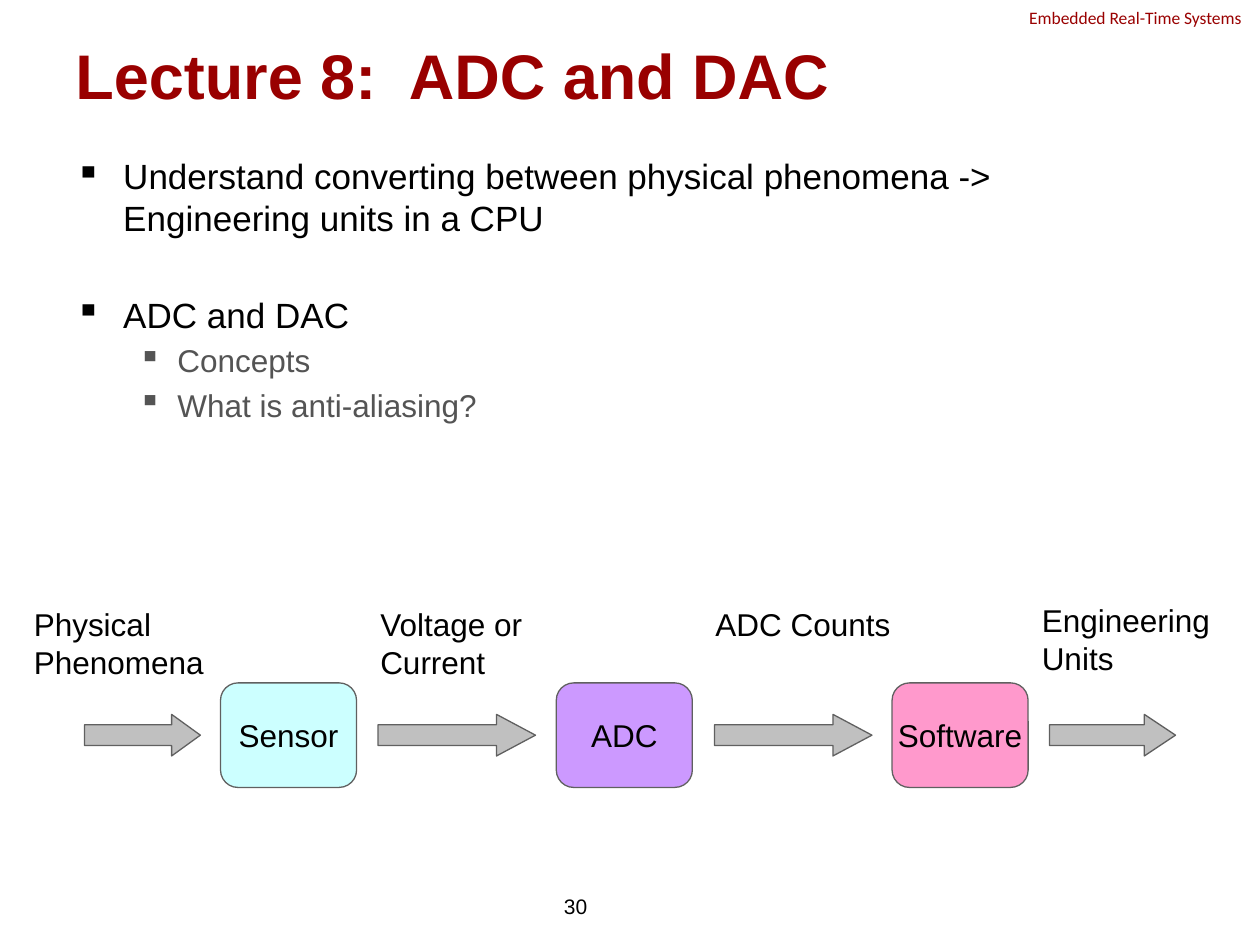
import pptx
import pptx.util
import pptx.dml.color
import pptx.enum.shapes
import pptx.enum.text
import pptx.oxml.ns
from lxml import etree

Inches, Pt = pptx.util.Inches, pptx.util.Pt
SHAPE = pptx.enum.shapes.MSO_SHAPE
ALIGN = pptx.enum.text.PP_ALIGN
ANCHOR = pptx.enum.text.MSO_ANCHOR

DARK_RED, BLACK, GREY, OUTLINE, ARROW_GREY = "990000", "000000", "545454", "606060", "C0C0C0"

# text, level, space before in points
BULLETS = [
    ("Understand converting between physical phenomena -> Engineering units in a CPU", 0, 4),
    ("ADC and DAC", 0, 31),
    ("Concepts", 1, 3.6),
    ("What is anti-aliasing?", 1, 3.6),
]
# size, colour, left margin, hanging indent
LEVELS = [(20, BLACK, 0.38, 0.38), (18, GREY, 0.81, 0.31)]

STAGES = [("Sensor", "CCFFFF"), ("ADC", "CC99FF"), ("Software", "FF99CC")]
STAGE_LEFT, STAGE_TOP, STAGE_WIDTH, STAGE_HEIGHT, STAGE_STEP = 1.75, 5.42, 1.08, 0.83, 2.665
ARROW_TOP, ARROW_HEIGHT = 5.67, 0.33
ARROWS = [(0.67, 0.92), (3, 1.25), (5.67, 1.25), (8.33, 1)]  # left, width
# text, left, top, height
SIGNALS = [
    ("Physical\nPhenomena", 0.17, 4.75, 0.71),
    ("Voltage or\nCurrent", 2.92, 4.75, 0.71),
    ("ADC Counts", 5.58, 4.75, 0.4),
    ("Engineering Units", 8.17, 4.72, 0.71),
]


def color(value):
    return pptx.dml.color.RGBColor.from_string(value)


def style_text(paragraph, size, value=BLACK, font="Arial", bold=False):
    for span in paragraph.runs:
        span.font.size = Pt(size)
        span.font.name = font
        span.font.bold = bold
        span.font.color.rgb = color(value)


def add_text(page, text, left, top, width, height, size, **style):
    box = page.shapes.add_textbox(Inches(left), Inches(top), Inches(width), Inches(height))
    frame = box.text_frame
    frame.word_wrap = True
    frame.text = text
    for paragraph in frame.paragraphs:
        style_text(paragraph, size, **style)
    return frame


def add_block(page, kind, left, top, width, height, fill):
    block = page.shapes.add_shape(kind, Inches(left), Inches(top), Inches(width), Inches(height))
    block.shadow.inherit = False
    block.fill.solid()
    block.fill.fore_color.rgb = color(fill)
    block.line.color.rgb = color(OUTLINE)
    block.line.width = Pt(0.75)
    return block


def add_bullet(paragraph, margin, hanging):
    properties = paragraph._p.get_or_add_pPr()
    properties.set("marL", str(Inches(margin)))
    properties.set("indent", str(-Inches(hanging)))
    mark = etree.SubElement(properties, pptx.oxml.ns.qn("a:buChar"))
    mark.set("char", "▪")


def add_bullets(page):
    frame = add_text(page, "\n".join(text for text, _, _ in BULLETS), 0.5, 1.18, 9, 5.52, 20)
    for paragraph, (_, level, space) in zip(frame.paragraphs, BULLETS):
        size, value, margin, hanging = LEVELS[level]
        paragraph.level = level
        paragraph.space_before = Pt(space)
        add_bullet(paragraph, margin, hanging)
        style_text(paragraph, size, value)


def add_signal_chain(page):
    for index, (name, fill) in enumerate(STAGES):
        left = STAGE_LEFT + index * STAGE_STEP
        block = add_block(page, SHAPE.ROUNDED_RECTANGLE, left, STAGE_TOP,
                          STAGE_WIDTH, STAGE_HEIGHT, fill)
        frame = block.text_frame
        frame.word_wrap = False
        frame.vertical_anchor = ANCHOR.MIDDLE
        frame.text = name
        frame.paragraphs[0].alignment = ALIGN.CENTER
        style_text(frame.paragraphs[0], 18)
    for left, width in ARROWS:
        arrow = add_block(page, SHAPE.RIGHT_ARROW, left, ARROW_TOP, width, ARROW_HEIGHT, ARROW_GREY)
        arrow.adjustments[1] = 0.75 * width  # head length grows with the arrow
    for text, left, top, height in SIGNALS:
        add_text(page, text, left, top, 1.67, height, 18)


def main():
    deck = pptx.Presentation()
    deck.slide_width, deck.slide_height = Inches(10), Inches(7.5)
    page = deck.slides.add_slide(deck.slide_layouts[6])

    add_text(page, "Embedded Real-Time Systems", 8.07, 0.01, 2.27, 0.27, 10,
             value=DARK_RED, font="Calibri")
    title = add_text(page, "Lecture 8:  ADC and DAC", 0.5, 0.3, 9, 0.58, 36,
                     value=DARK_RED, bold=True)
    title.vertical_anchor = ANCHOR.MIDDLE
    add_bullets(page)
    number = add_text(page, "30", 2.43, 6.99, 2.33, 0.4, 12)
    number.vertical_anchor = ANCHOR.MIDDLE
    number.paragraphs[0].alignment = ALIGN.RIGHT
    add_signal_chain(page)

    deck.save("out.pptx")


if __name__ == "__main__":
    main()
